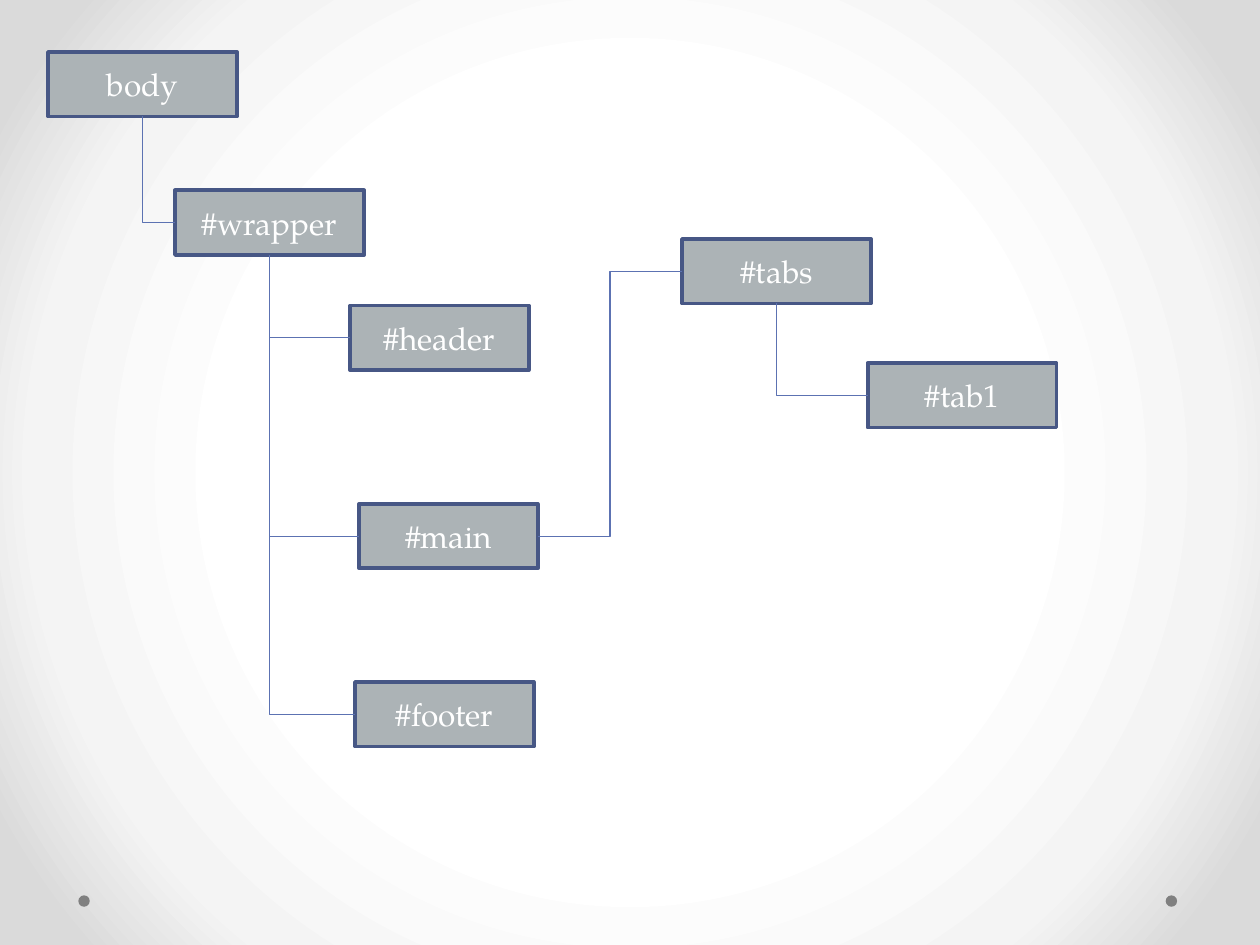
from pptx import Presentation
from pptx import util as u
from pptx.dml.color import RGBColor
from pptx.enum import shapes, text
from pptx.oxml import parse_xml
from pptx.oxml.ns import nsdecls, qn

COLORS = {
    "box": "ACB3B6", "border": "475785", "link": "5C72B2", "dot": "808080",
    "text": "FFFFFF", "center": "FFFFFF", "ring": "F4F4F4", "edge": "DADADA",
}
LEFT, BOTTOM, RIGHT = 1, 2, 3


def rgb(name):
    return RGBColor.from_string(COLORS[name])


def write(shape, content, size=18, font="TeX Gyre Pagella", color="text"):
    frame = shape.text_frame
    frame.word_wrap = True
    frame.vertical_anchor = text.MSO_ANCHOR.MIDDLE
    paragraph = frame.paragraphs[0]
    paragraph.alignment = text.PP_ALIGN.CENTER
    run = paragraph.add_run()
    run.text = content
    run.font.size = u.Pt(size)
    run.font.name = font
    run.font.color.rgb = rgb(color)


class Diagram:
    """Draws a tree of labelled boxes on one slide."""

    box_height = 1.3
    dot_size = 0.23

    def __init__(self, slide):
        self.slide = slide

    def background(self, stops):
        stop_xml = "".join(
            f'<a:gs pos="{position * 1000}"><a:srgbClr val="{COLORS[name]}"/></a:gs>'
            for position, name in stops)
        self.slide.element.cSld.insert(0, parse_xml(
            f'<p:bg {nsdecls("p", "a")}><p:bgPr><a:gradFill rotWithShape="1">'
            f'<a:gsLst>{stop_xml}</a:gsLst><a:path path="circle">'
            '<a:fillToRect l="50000" t="50000" r="50000" b="50000"/></a:path>'
            '</a:gradFill><a:effectLst/></p:bgPr></p:bg>'))

    def shape(self, kind, left, top, width, height, fill):
        shape = self.slide.shapes.add_shape(
            kind, u.Cm(left), u.Cm(top), u.Cm(width), u.Cm(height))
        shape.shadow.inherit = False
        shape.fill.solid()
        shape.fill.fore_color.rgb = rgb(fill)
        return shape

    def dot(self, left, top):
        dot = self.shape(shapes.MSO_SHAPE.OVAL, left, top,
                         self.dot_size, self.dot_size, "dot")
        dot.line.fill.background()

    def box(self, label, left, top, width):
        box = self.shape(shapes.MSO_SHAPE.RECTANGLE, left, top,
                         width, self.box_height, "box")
        box.line.color.rgb = rgb("border")
        box.line.width = u.Pt(2.25)
        write(box, label)
        return box

    def link(self, start, start_site, end, end_site, preset):
        link = self.slide.shapes.add_connector(
            shapes.MSO_CONNECTOR.ELBOW, 0, 0, 0, 0)
        link.begin_connect(start, start_site)
        link.end_connect(end, end_site)
        link.line.color.rgb = rgb("link")
        link.line.width = u.Pt(0.75)
        properties = link.element.spPr
        properties.find(qn("a:prstGeom")).set("prst", preset)
        properties.append(parse_xml(f'<a:effectLst {nsdecls("a")}/>'))

    def branch(self, parent, child):
        self.link(child, LEFT, parent, BOTTOM, "bentConnector2")


presentation = Presentation()
presentation.slide_width = u.Cm(25.4)
presentation.slide_height = u.Cm(19.05)
diagram = Diagram(presentation.slides.add_slide(presentation.slide_layouts[6]))
diagram.background([(50, "center"), (76, "ring"), (92, "edge")])

for dot_left in (23.5, 1.58):
    diagram.dot(dot_left, 18.05)

WIDE, NARROW = 3.81, 3.6
boxes = {
    label: diagram.box(label, left, top, width)
    for label, left, top, width in [
        ("body", 0.97, 1.05, WIDE),
        ("#wrapper", 3.53, 3.84, WIDE),
        ("#header", 7.06, 6.16, NARROW),
        ("#main", 7.24, 10.16, NARROW),
        ("#footer", 7.16, 13.75, NARROW),
        ("#tabs", 13.75, 4.82, WIDE),
        ("#tab1", 17.49, 7.32, WIDE),
    ]
}

for parent, child in [("body", "#wrapper"), ("#wrapper", "#header"),
                      ("#wrapper", "#main"), ("#wrapper", "#footer"),
                      ("#tabs", "#tab1")]:
    diagram.branch(boxes[parent], boxes[child])
diagram.link(boxes["#main"], RIGHT, boxes["#tabs"], LEFT, "bentConnector3")

presentation.save("out.pptx")
